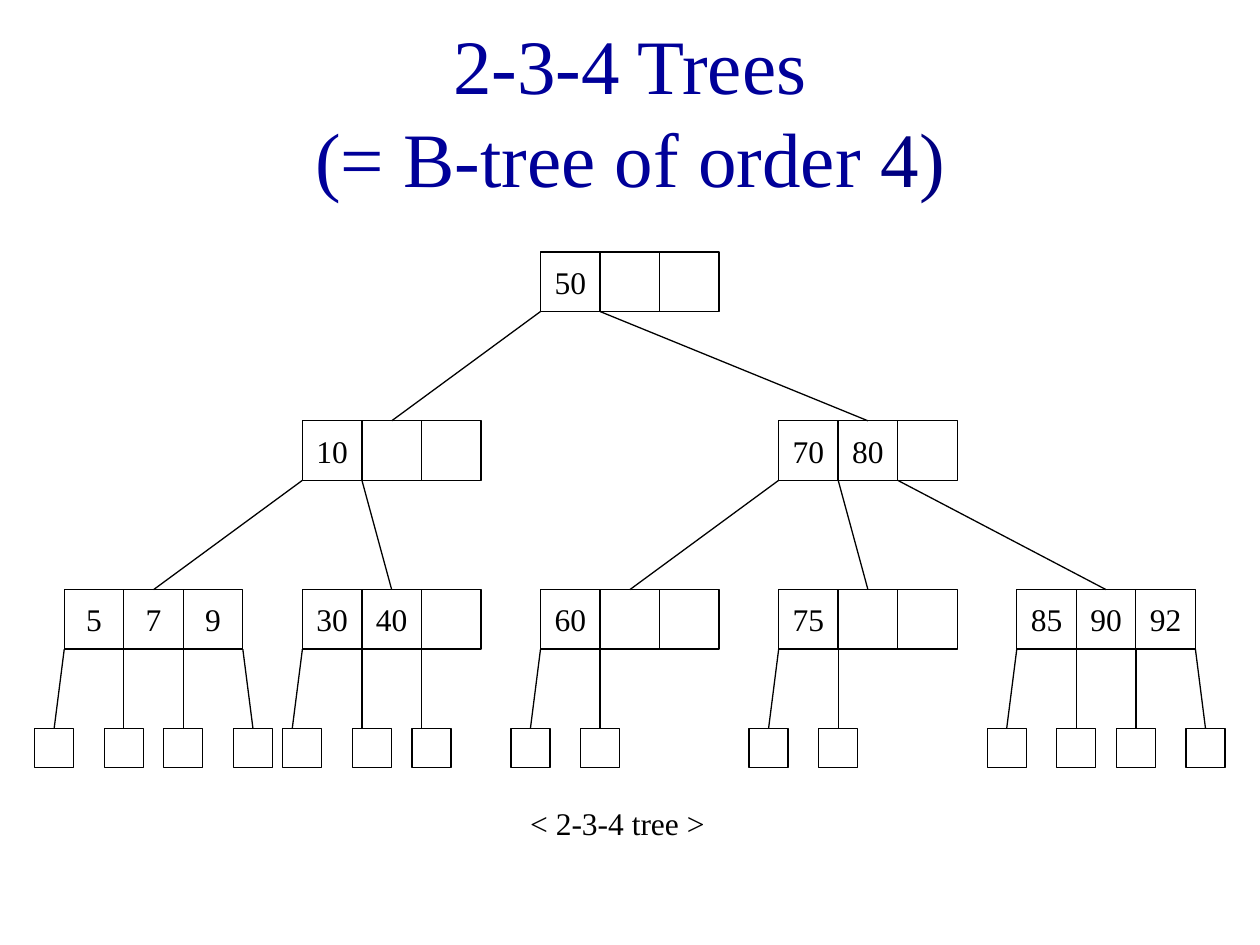
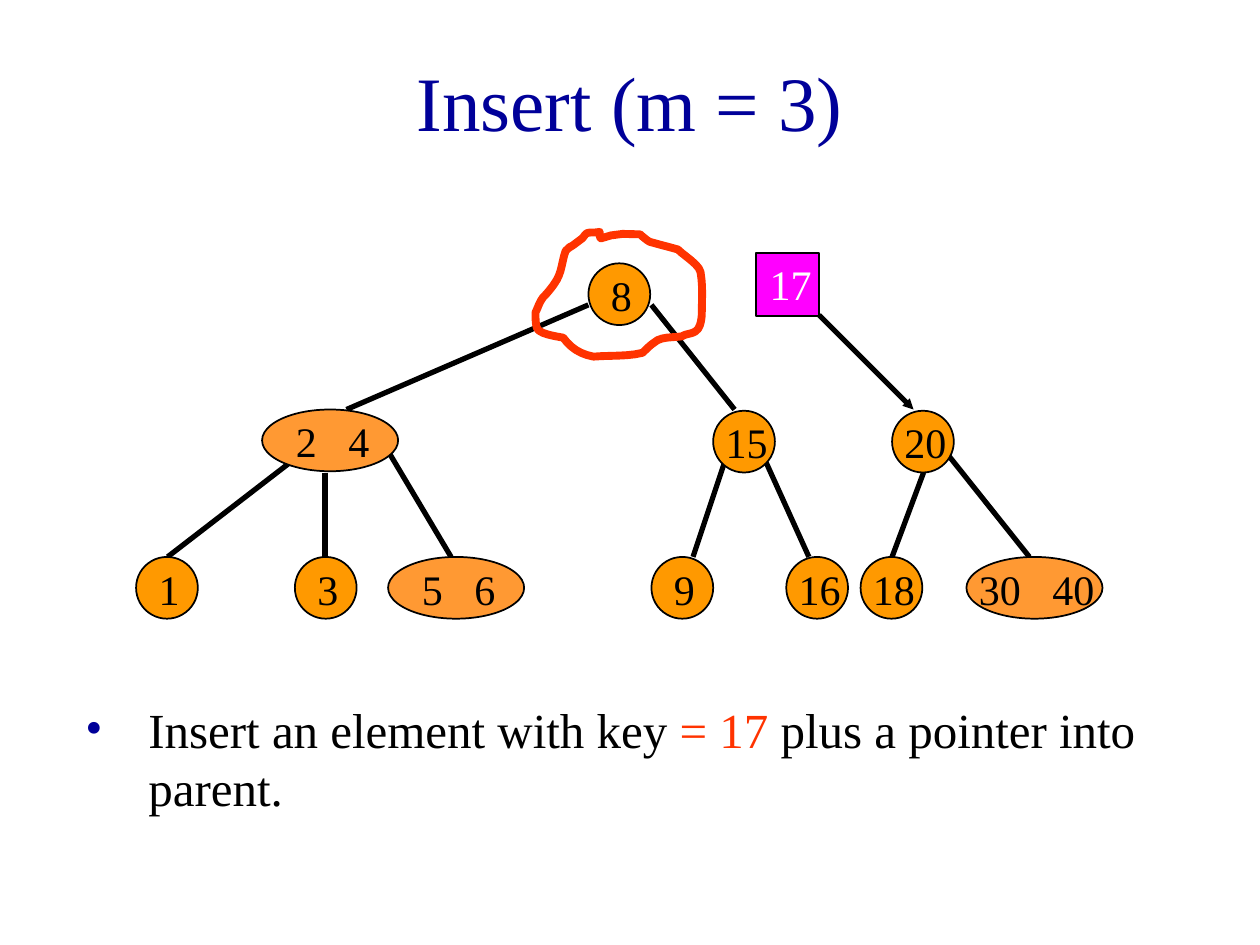
from lxml import etree
from pptx import Presentation
from pptx import util as u
from pptx.dml.color import RGBColor
from pptx.enum import shapes, text
from pptx.oxml import ns

FONT = "Times New Roman"
COLORS = {
    "title": "000099", "title end": "000080", "black": "000000", "white": "FFFFFF",
    "circle": "FF9900", "oval": "FF9933", "new key": "FF00FF", "accent": "FF3300",
}

TITLES = {
    "order 4": ([[("2-3-4 Trees", "title")],
                 [("(= B-tree of order ", "title"), ("4)", "title end")]], (0.75, 0.5, 8.5, 0.75)),
    "insert": ([[("Insert (m = 3)", "title")]], (0.75, 0.17, 8.5, 1.25)),
}

COLUMN, ROW, LEFT, TOP = 1.89, 1.34, 0.51, 2
CELL = COLUMN / 4
CELLS_PER_NODE = 3
LEAF, LEAF_TOP, LEAF_SPREAD = 0.31, 5.78, 0.08
LEAF_NUDGE = {1: 0.08}
TREE_LEVELS = [
    [(2, ["50"], [1, 3])],
    [(1, ["10"], [0, 1]), (3, ["70", "80"], [2, 3, 4])],
    [(0, ["5", "7", "9"], []), (1, ["30", "40"], []), (2, ["60"], []),
     (3, ["75"], []), (4, ["85", "90", "92"], [])],
]
CAPTION = ("< 2-3-4 tree >", (4.11, 6.33, 1.6, 0.4))

NODE_HEIGHT, OVAL_WIDTH = 0.49, 1.08
INSERT_NODES = [
    (4.67, 2.09, ["8"]),
    (2.08, 3.25, ["2", "4"]), (5.66, 3.26, ["15"]), (7.08, 3.26, ["20"]),
    (1.08, 4.42, ["1"]), (2.34, 4.42, ["3"]), (3.08, 4.42, ["5", "6"]),
    (5.17, 4.42, ["9"]), (6.24, 4.42, ["16"]), (6.83, 4.42, ["18"]),
    (7.67, 4.42, ["30", "40"]),
]
LABEL_OFFSET_WIDTH = {
    (1, 1): (0.08, 0.42), (1, 2): (0, 0.85), (2, 1): (0.17, 0.83), (2, 2): (0, 1.5),
}
INSERT_EDGES = [
    ((4.67, 2.42), (2.75, 3.25)), ((5.17, 2.42), (5.83, 3.25)),
    ((2.42, 3.58), (1.33, 4.42)), ((2.58, 3.75), (2.58, 4.42)),
    ((3.08, 3.58), (3.58, 4.42)), ((5.75, 3.67), (5.5, 4.42)),
    ((6.08, 3.67), (6.42, 4.42)), ((7.33, 3.75), (7.08, 4.42)),
    ((7.5, 3.58), (8.17, 4.42)),
]
NEW_KEY = ("17", (6, 2.01, 0.5, 0.5), (6.01, 2, 0.75, 0.5))
NEW_KEY_ARROW = ((6.5, 2.5), (7.25, 3.25))
BULLET = ([[("Insert an element with key ", "black"), ("= 17 ", "accent"),
            ("plus a pointer into parent.", "black")]], (0.58, 5.5, 8.83, 1.04))
LOOP_START = (4.76, 1.84)
LOOP_CURVES = [
    (4.72, 1.85, 4.69, 1.84, 4.66, 1.85), (4.64, 1.86, 4.63, 1.89, 4.61, 1.9),
    (4.44, 2.03, 4.59, 1.9, 4.49, 1.99), (4.46, 2.07, 4.46, 2.15, 4.42, 2.22),
    (4.39, 2.27, 4.35, 2.32, 4.31, 2.36), (4.28, 2.4, 4.27, 2.44, 4.25, 2.48),
    (4.25, 2.52, 4.25, 2.56, 4.26, 2.6), (4.27, 2.65, 4.42, 2.67, 4.47, 2.68),
    (4.53, 2.76, 4.6, 2.81, 4.71, 2.83), (4.84, 2.82, 4.98, 2.83, 5.1, 2.8),
    (5.13, 2.77, 5.16, 2.74, 5.19, 2.72), (5.24, 2.67, 5.34, 2.68, 5.41, 2.67),
    (5.44, 2.65, 5.49, 2.65, 5.52, 2.63), (5.57, 2.6, 5.57, 2.49, 5.57, 2.49),
    (5.57, 2.38, 5.58, 2.27, 5.56, 2.16), (5.55, 2.1, 5.43, 2.03, 5.38, 1.98),
    (5.31, 1.96, 5.23, 1.94, 5.16, 1.92), (5.15, 1.92, 5.09, 1.87, 5.08, 1.86),
    (4.75, 1.83, 4.76, 1.96, 4.76, 1.84),
]


def color(name):
    return RGBColor.from_string(COLORS[name])


def inches(values):
    return [u.Inches(value) for value in values]


def add_xml(parent, tag, **attributes):
    return etree.SubElement(parent, ns.qn(tag), attributes)


def paint(shape, fill, line, width):
    shape.shadow.inherit = False
    if fill:
        shape.fill.solid()
        shape.fill.fore_color.rgb = color(fill)
    else:
        shape.fill.background()
    shape.line.color.rgb = color(line)
    shape.line.width = u.Pt(width)


def add_preset(page, kind, place, fill=None, width=0.75):
    shape = page.shapes.add_shape(kind, *inches(place))
    paint(shape, fill, "black", width)
    return shape


def add_edge(page, start, end, width=0.75, arrow=False):
    edge = page.shapes.add_connector(shapes.MSO_CONNECTOR.STRAIGHT, *inches(start + end))
    edge.line.color.rgb = color("black")
    edge.line.width = u.Pt(width)
    if arrow:
        line = edge._element.spPr.find(ns.qn("a:ln"))
        add_xml(line, "a:tailEnd", type="triangle", w="sm", len="sm")
    add_xml(edge._element.spPr, "a:effectLst")


def write(paragraph, lines, size, align=text.PP_ALIGN.LEFT):
    paragraph.alignment = align
    paragraph.font.name = FONT
    paragraph.font.size = u.Pt(size)
    for index, spans in enumerate(lines):
        if index:
            paragraph.add_line_break()
        for words, shade in spans:
            span = paragraph.add_run()
            span.text = words
            span.font.color.rgb = color(shade)


def add_box(page, place, wrap=True):
    box = page.shapes.add_textbox(*inches(place))
    box.text_frame.word_wrap = wrap
    return box.text_frame


def add_title(page, name):
    lines, place = TITLES[name]
    frame = add_box(page, place)
    frame.vertical_anchor = text.MSO_ANCHOR.MIDDLE
    write(frame.paragraphs[0], lines, 44, text.PP_ALIGN.CENTER)


def add_tree_node(page, left, top, keys):
    for index in range(CELLS_PER_NODE):
        cell = add_preset(page, shapes.MSO_SHAPE.RECTANGLE,
                          (left + index * CELL, top, CELL, CELL))
        if index < len(keys):
            frame = cell.text_frame
            frame.word_wrap = False
            frame.vertical_anchor = text.MSO_ANCHOR.MIDDLE
            write(frame.paragraphs[0], [[(keys[index], "black")]], 18, text.PP_ALIGN.CENTER)


def add_leaves(page, left, bottom, count, nudge):
    for index in range(count):
        edge_x = left + index * CELL
        shift = {0: -LEAF_SPREAD, CELLS_PER_NODE: LEAF_SPREAD}.get(index, 0)
        center = edge_x + shift
        add_preset(page, shapes.MSO_SHAPE.RECTANGLE,
                   (center + nudge - LEAF / 2, LEAF_TOP, LEAF, LEAF))
        add_edge(page, (edge_x, bottom), (center, LEAF_TOP))


def build_order_4(page):
    add_title(page, "order 4")
    for level, nodes in enumerate(TREE_LEVELS):
        top = TOP + level * ROW
        for column, keys, children in nodes:
            left = LEFT + column * COLUMN
            add_tree_node(page, left, top, keys)
            for index, child in enumerate(children):
                child_center = LEFT + child * COLUMN + CELLS_PER_NODE * CELL / 2
                add_edge(page, (left + index * CELL, top + CELL), (child_center, top + ROW))
            if not children:
                add_leaves(page, left, top + CELL, len(keys) + 1, LEAF_NUDGE.get(column, 0))
    words, place = CAPTION
    write(add_box(page, place, wrap=False).paragraphs[0], [[(words, "black")]], 18)


def add_key_label(page, place, keys, shade="black"):
    paragraph = add_box(page, place).paragraphs[0]
    if len(keys) > 1:
        tabs = add_xml(paragraph._p.get_or_add_pPr(), "a:tabLst")
        gap = u.Inches(0.25 + len(keys[0]) / 6)
        add_xml(tabs, "a:tab", pos=str(gap), algn="l")
    write(paragraph, [[("\t".join(keys), shade)]], 24)


def add_insert_node(page, left, top, keys):
    fill, width = ("circle", NODE_HEIGHT) if len(keys) == 1 else ("oval", OVAL_WIDTH)
    add_preset(page, shapes.MSO_SHAPE.OVAL, (left, top, width, NODE_HEIGHT), fill, 1)
    offset, label_width = LABEL_OFFSET_WIDTH[len(keys), len(keys[0])]
    add_key_label(page, (left + offset, top, label_width, 0.5), keys)


def curve_points(start, curves, steps=6):
    for x1, y1, x2, y2, x3, y3 in curves:
        for step in range(1, steps + 1):
            t = step / steps
            weights = ((1 - t) ** 3, 3 * t * (1 - t) ** 2, 3 * t * t * (1 - t), t ** 3)
            yield tuple(sum(w * v for w, v in zip(weights, values))
                        for values in ((start[0], x1, x2, x3), (start[1], y1, y2, y3)))
        start = (x3, y3)


def add_loop(page):
    builder = page.shapes.build_freeform(*inches(LOOP_START))
    points = [inches(point) for point in curve_points(LOOP_START, LOOP_CURVES)]
    builder.add_line_segments(points, close=True)
    loop = builder.convert_to_shape()
    paint(loop, None, "accent", 4.5)
    add_xml(loop._element.spPr.find(ns.qn("a:ln")), "a:round")


def add_bullet(page):
    lines, place = BULLET
    paragraph = add_box(page, place).paragraphs[0]
    properties = paragraph._p.get_or_add_pPr()
    properties.set("marL", str(u.Inches(0.5)))
    properties.set("indent", str(u.Inches(-0.5)))
    add_xml(add_xml(properties, "a:buClr"), "a:srgbClr", val=COLORS["title"])
    add_xml(properties, "a:buFont", typeface=FONT)
    add_xml(properties, "a:buChar", char="•")
    write(paragraph, lines, 28)


def build_insert(page):
    add_title(page, "insert")
    for start, end in INSERT_EDGES:
        add_edge(page, start, end, 3)
    for node in INSERT_NODES:
        add_insert_node(page, *node)
    key, square, label = NEW_KEY
    add_preset(page, shapes.MSO_SHAPE.RECTANGLE, square, "new key", 1)
    add_key_label(page, label, [key], "white")
    add_edge(page, *NEW_KEY_ARROW, width=3, arrow=True)
    add_loop(page)
    add_bullet(page)


def main():
    deck = Presentation()
    deck.slide_width, deck.slide_height = inches((10, 7.5))
    for build in (build_order_4, build_insert):
        build(deck.slides.add_slide(deck.slide_layouts[6]))
    deck.save("out.pptx")


if __name__ == "__main__":
    main()
